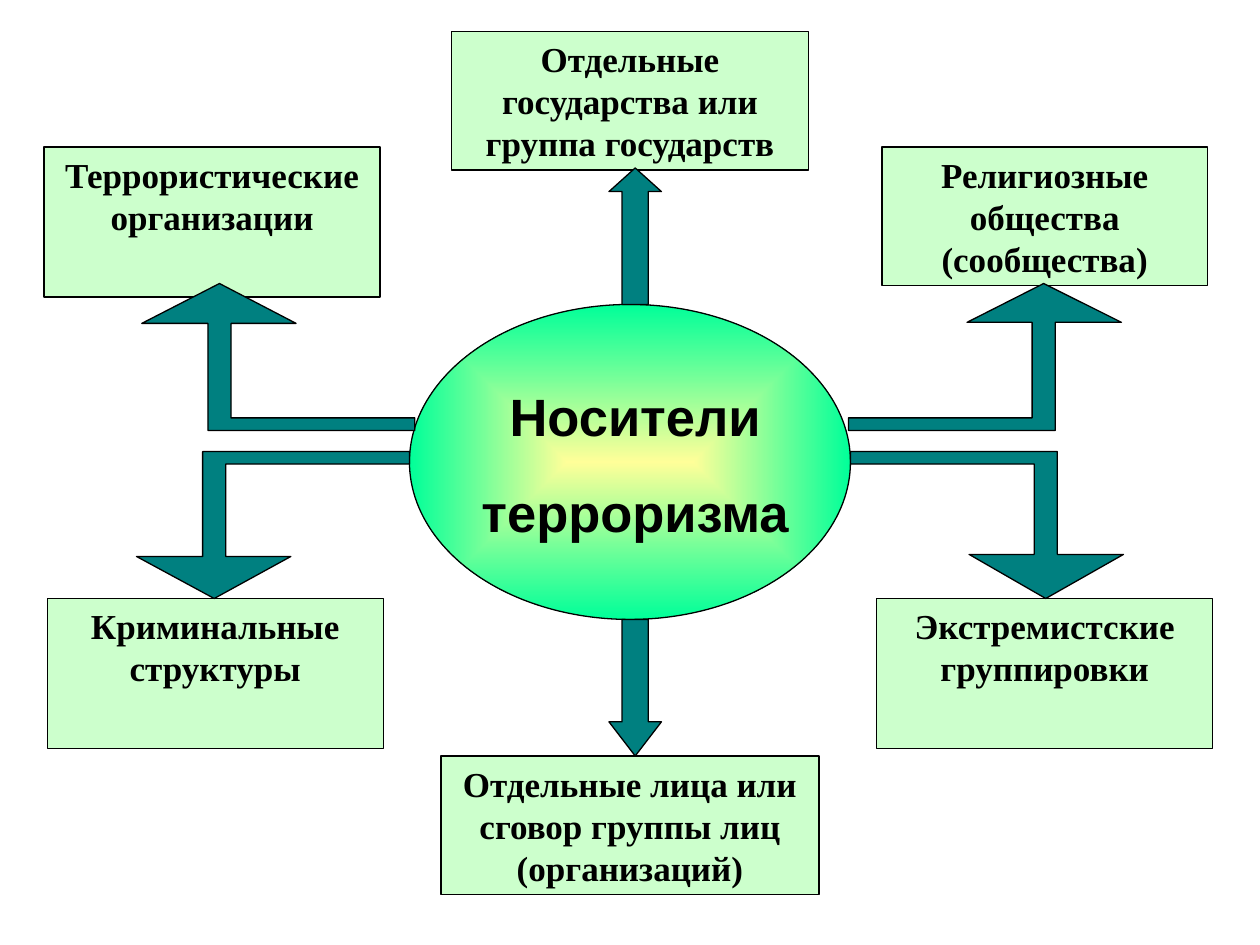
from dataclasses import dataclass
from typing import NamedTuple

from lxml import etree
from pptx import Presentation
from pptx.dml.color import RGBColor
from pptx.enum.shapes import MSO_SHAPE
from pptx.enum.text import MSO_ANCHOR, PP_ALIGN
from pptx.oxml import parse_xml
from pptx.util import Inches, Pt

RECT, OVAL = MSO_SHAPE.RECTANGLE, MSO_SHAPE.OVAL
UP, DOWN = MSO_SHAPE.UP_ARROW, MSO_SHAPE.DOWN_ARROW
TOP, CENTER = MSO_ANCHOR.TOP, PP_ALIGN.CENTER
COLS, ROWS = 120, 90
CELL = Inches(10) / COLS


@dataclass(frozen=True)
class Theme:
    ink: RGBColor = RGBColor(0, 0, 0)
    card: RGBColor = RGBColor(0xCC, 0xFF, 0xCC)
    arrow: RGBColor = RGBColor(0, 0x80, 0x80)
    core: RGBColor = RGBColor(0xFF, 0xFF, 0x99)
    rim: RGBColor = RGBColor(0, 0xFF, 0x99)
    serif: str = "Times New Roman"
    sans: str = "Arial"
    body: float = 20
    title: float = 30
    gap: float = 18.7
    line: float = 0.75


class Box(NamedTuple):
    """A place on the slide, in grid columns and rows."""
    col: float
    row: float
    wide: float
    high: float


class Card(NamedTuple):
    box: Box
    text: str


class Shaft(NamedTuple):
    kind: MSO_SHAPE
    box: Box
    head: float


class Elbow(NamedTuple):
    """Outer corner of the tail, directions across and down, head depth."""
    col: float
    row: float
    across: int
    down: int
    head: float


THEME = Theme()
CARDS = [
    Card(Box(43, 3, 34, 13.2), "Отдельные государства или группа государств"),
    Card(Box(84, 14, 31, 13.2), "Религиозные общества (сообщества)"),
    Card(Box(4.2, 14, 32, 14.3), "Террористические организации"),
    Card(Box(42, 72, 36, 13.2), "Отдельные лица или сговор группы лиц (организаций)"),
    Card(Box(83.5, 57, 32, 14.3), "Экстремистские группировки"),
    Card(Box(4.5, 57, 32, 14.3), "Криминальные структуры"),
]
HUB = Box(39, 29, 42, 30)
TITLE = Box(38, 36, 45, 16.3)
ELBOWS = [
    Elbow(80.8, 41, 1, -1, 3.7),
    Elbow(81, 43, 1, 1, 4.2),
    Elbow(39.5, 41, -1, -1, 3.8),
    Elbow(39, 43, -1, 1, 4),
]
SHAFTS = [
    Shaft(UP, Box(58, 16, 5, 13), 0.45),
    Shaft(DOWN, Box(58, 59, 5, 13), 0.65),
]


def place(box: Box) -> list[int]:
    return [round(part * CELL) for part in box]


def style(shape, color: RGBColor | None = None) -> None:
    shape.shadow.inherit = False
    if color is not None:
        shape.fill.solid()
        shape.fill.fore_color.rgb = color
    shape.line.color.rgb = THEME.ink
    shape.line.width = Pt(THEME.line)


def write(shape, lines: list[str], face: str, size: float) -> None:
    frame = shape.text_frame
    frame.word_wrap = True
    frame.vertical_anchor = TOP
    frame.text = "\n".join(lines)
    for i, para in enumerate(frame.paragraphs):
        para.alignment = CENTER
        if i:
            para.space_before = Pt(THEME.gap)
        font = para.font
        font.name, font.size, font.bold = face, Pt(size), True
        font.color.rgb = THEME.ink


def add_card(shapes, card: Card) -> None:
    shape = shapes.add_shape(RECT, *place(card.box))
    style(shape, THEME.card)
    write(shape, [card.text], THEME.serif, THEME.body)


def add_hub(shapes) -> None:
    """Draw the oval, shaded from its centre, with the title over it."""
    oval = shapes.add_shape(OVAL, *place(HUB))
    style(oval)
    oval.fill.gradient()
    for stop, color in zip(oval.fill.gradient_stops, (THEME.core, THEME.rim)):
        stop.color.rgb = color
    ns = "http://schemas.openxmlformats.org/drawingml/2006/main"
    lin = next(oval._element.iter(f"{{{ns}}}lin"))
    shade = parse_xml(f'<a:path xmlns:a="{ns}" path="rect"/>')
    etree.SubElement(shade, f"{{{ns}}}fillToRect",
                     {side: "50000" for side in "ltrb"})
    lin.getparent().replace(lin, shade)
    text = shapes.add_textbox(*place(TITLE))
    write(text, ["Носители", "терроризма"], THEME.sans, THEME.title)


def add_elbow(shapes, elbow: Elbow) -> None:
    neck = 14 - elbow.head
    turns = [(0, 1.2), (17.5, 1.2), (17.5, neck), (11.3, neck), (18.6, 14),
             (26, neck), (19.7, neck), (19.7, 0), (0, 0)]
    spots = [(round((elbow.col + elbow.across * x) * CELL),
              round((elbow.row + elbow.down * y) * CELL)) for x, y in turns]
    path = shapes.build_freeform(*spots[0])
    path.add_line_segments(spots[1:], close=True)
    style(path.convert_to_shape(), THEME.arrow)


def add_shaft(shapes, shaft: Shaft) -> None:
    shape = shapes.add_shape(shaft.kind, *place(shaft.box))
    shape.adjustments[0] = 0.5
    shape.adjustments[1] = shaft.head
    style(shape, THEME.arrow)


def main() -> None:
    deck = Presentation()
    deck.slide_width, deck.slide_height = round(COLS * CELL), round(ROWS * CELL)
    shapes = deck.slides.add_slide(deck.slide_layouts[6]).shapes
    for card in CARDS:
        add_card(shapes, card)
    add_hub(shapes)
    for elbow in ELBOWS:
        add_elbow(shapes, elbow)
    for shaft in SHAFTS:
        add_shaft(shapes, shaft)
    deck.save("out.pptx")


if __name__ == "__main__":
    main()
